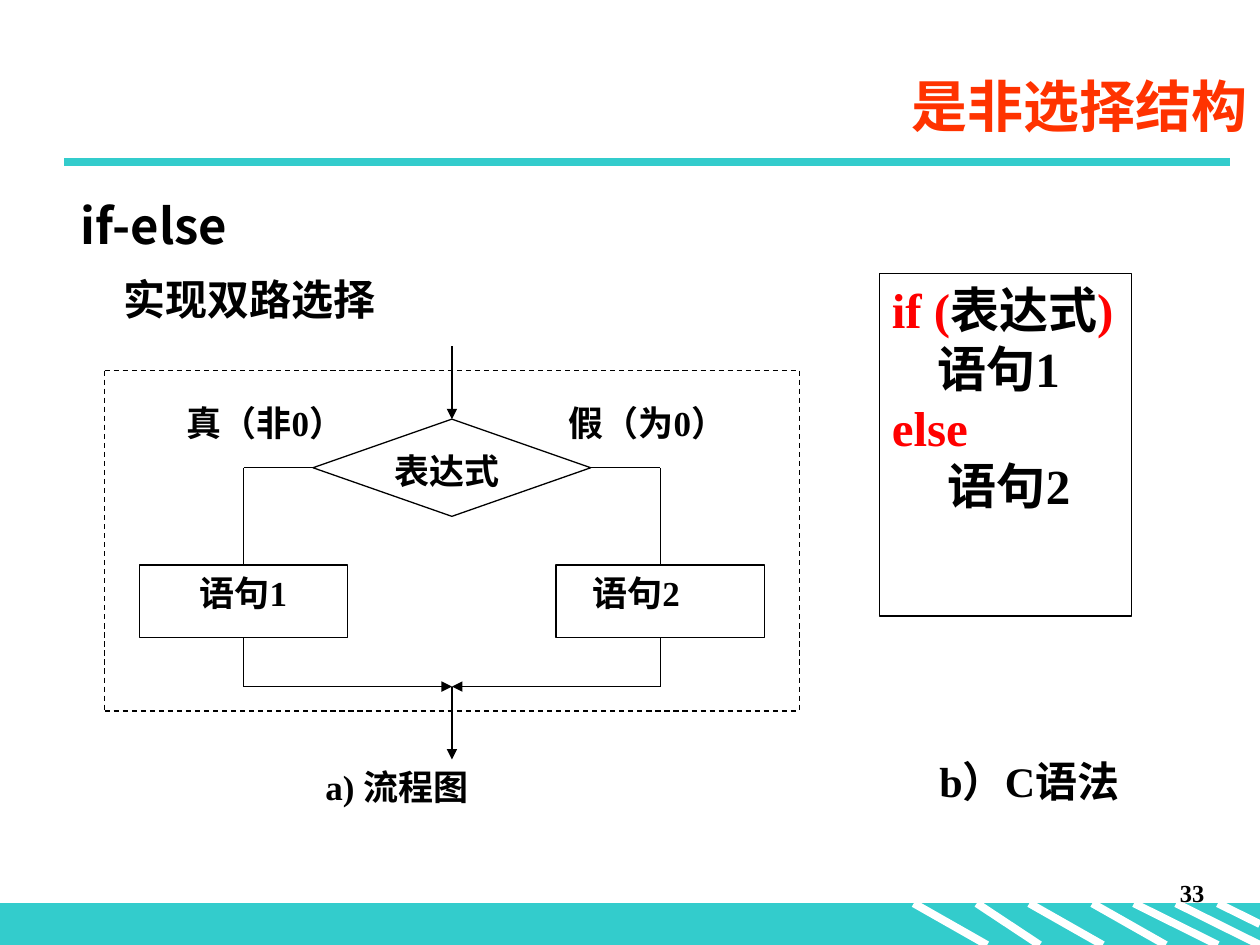
from lxml.etree import SubElement
from pptx import Presentation
from pptx.dml.color import RGBColor
from pptx.enum.dml import MSO_LINE
from pptx.enum.shapes import MSO_CONNECTOR, MSO_SHAPE
from pptx.enum.text import MSO_ANCHOR, PP_ALIGN
from pptx.oxml.ns import qn
from pptx.util import Cm, Pt

TEAL = RGBColor(0x33, 0xCC, 0xCC)
WHITE = RGBColor(0xFF, 0xFF, 0xFF)
BLACK = RGBColor(0, 0, 0)
RED = RGBColor(0xFF, 0, 0)
ORANGE = RGBColor(0xFF, 0x33, 0)
SERIF, SANS, MONO = "Times New Roman", "Noto Sans CJK SC", "Courier New"

WIDTH, HEIGHT = 25.4, 19.05
FOOTER_TOP = 18.21
# Flowchart grid: origin and step, in cm
GRID_LEFT, GRID_TOP, STEP_X, STEP_Y = 2.11, 6.98, 0.7, 0.49

# Text boxes: text, (left, top, width, height), size, font, colour, paragraph format
TEXTS = [
    ("33", (19.25, 17.58, 5.28, 1.27), 14, SERIF, BLACK,
     {"alignment": PP_ALIGN.RIGHT}),
    ("if-else", (1.37, 3.81, 23.06, 1.7), 28, SANS, BLACK,
     {"alignment": PP_ALIGN.LEFT}),
    ("实现双路选择", (2.24, 5.51, 21.39, 1.17), 24, SANS, BLACK,
     {"alignment": PP_ALIGN.JUSTIFY, "line_spacing": 0.9}),
    ("b）C语法", (18.69, 15.11, 5.72, 1.37), 24, SERIF, BLACK,
     {"alignment": PP_ALIGN.JUSTIFY}),
]
TITLE = ("是非选择结构", (3.81, 1.12, 21.59, 2), 32, MONO, ORANGE,
         {"alignment": PP_ALIGN.RIGHT})

# Syntax lines: indent in cm, coloured runs
SYNTAX_PLACE = (17.73, 5.51, 5.08, 6.91)
SYNTAX = [
    (0, [("if (", RED), ("表达式", BLACK), (")", RED)]),
    (0.92, [("语句1", BLACK)]),
    (0, [("else", RED)]),
    (1.13, [("语句2", BLACK)]),
]

# Flowchart, in grid steps
FLOW_LINES = [((4, 5), (6, 5)), ((14, 5), (16, 5)),
              ((4, 5), (4, 9)), ((16, 5), (16, 9)),
              ((4, 12), (4, 14)), ((16, 12), (16, 14))]
FLOW_ARROWS = [((10, 0), (10, 3)), ((4, 14), (10, 14)),
               ((16, 14), (10, 14)), ((10, 14), (10, 17))]
FRAME = [((0, 1), (0, 15)), ((20, 1), (20, 15)),
         ((0, 15), (20, 15)), ((0, 1), (20, 1))]
FLOW_NODES = [  # text, grid place, shape, indent in cm
    ("表达式", (6, 3, 8, 4), MSO_SHAPE.FLOWCHART_DECISION, 0),
    ("语句1", (1, 9, 6, 3), MSO_SHAPE.RECTANGLE, 0.96),
    ("语句2", (13, 9, 6, 3), MSO_SHAPE.RECTANGLE, 0.48),
]
FLOW_LABELS = [("真（非0）", (2, 2, 7, 3)), ("假（为0）", (13, 2, 7, 3)),
               ("a) 流程图", (6, 17, 11, 3))]

# Footer stripes: start x, end x, end y
STRIPES = [(18.42, 19.9, HEIGHT), (19.69, 20.96, HEIGHT), (20.75, 22.23, HEIGHT),
           (22.02, 23.5, HEIGHT), (22.86, 24.55, HEIGHT), (23.71, WIDTH, HEIGHT),
           (24.55, WIDTH, 18.63)]

prs = Presentation()
prs.slide_width, prs.slide_height = Cm(WIDTH), Cm(HEIGHT)
slide = prs.slides.add_slide(prs.slide_layouts[6])


def apply(target, values):
    for key, value in values.items():
        setattr(target, key, value)


def grid_point(column, row):
    return GRID_LEFT + column * STEP_X, GRID_TOP + row * STEP_Y


def grid_place(column, row, columns, rows):
    return (*grid_point(column, row), columns * STEP_X, rows * STEP_Y)


def add_line(start, end, color=BLACK, width=0.75, dashed=False, arrow=False):
    ends = [Cm(value) for value in (*start, *end)]
    line = slide.shapes.add_connector(MSO_CONNECTOR.STRAIGHT, *ends)
    line.line.color.rgb = color
    line.line.width = Pt(width)
    if dashed:
        line.line.dash_style = MSO_LINE.DASH
    if arrow:
        SubElement(line.line._get_or_add_ln(), qn("a:tailEnd"), type="triangle")
    SubElement(line._element.spPr, qn("a:effectLst"))


def add_block(place, color, outline, kind=MSO_SHAPE.RECTANGLE):
    block = slide.shapes.add_shape(kind, *[Cm(value) for value in place])
    block.shadow.inherit = False
    block.fill.solid()
    block.fill.fore_color.rgb = color
    block.line.color.rgb = outline
    block.line.width = Pt(0.75)
    return block


def write(shape, lines, size, font, layout, anchor=MSO_ANCHOR.TOP):
    """Fill a shape with lines of (indent, [(text, colour), ...])."""
    frame = shape.text_frame
    apply(frame, {"word_wrap": True, "vertical_anchor": anchor})
    for number, (indent, runs) in enumerate(lines):
        paragraph = frame.add_paragraph() if number else frame.paragraphs[0]
        apply(paragraph, layout)
        if indent:
            paragraph._p.get_or_add_pPr().set("marL", str(Cm(indent)))
        for text, color in runs:
            run = paragraph.add_run()
            run.text = text
            apply(run.font, {"size": Pt(size), "name": font, "bold": True})
            run.font.color.rgb = color
            SubElement(run._r.get_or_add_rPr(), qn("a:ea"), typeface=SANS)


def add_text(text, place, size, font, color, layout, anchor=MSO_ANCHOR.TOP):
    box = slide.shapes.add_textbox(*[Cm(value) for value in place])
    write(box, [(0, [(text, color)])], size, font, layout, anchor)


# Footer band and title rule
add_block((0, FOOTER_TOP, WIDTH, HEIGHT - FOOTER_TOP), TEAL, TEAL)
for start_x, end_x, end_y in STRIPES:
    add_line((start_x, FOOTER_TOP), (end_x, end_y), WHITE, 4.5)
add_line((1.3, 3.27), (24.79, 3.27), TEAL, 4.5)

# Title, headings and captions
add_text(*TITLE, anchor=MSO_ANCHOR.MIDDLE)
for entry in TEXTS:
    add_text(*entry)

# Syntax panel
justified = {"alignment": PP_ALIGN.JUSTIFY}
write(add_block(SYNTAX_PLACE, WHITE, BLACK), SYNTAX, 28, SERIF, justified)

# Flowchart
for segments, style in ((FLOW_LINES, {}), (FLOW_ARROWS, {"arrow": True}),
                        (FRAME, {"dashed": True})):
    for start, end in segments:
        add_line(grid_point(*start), grid_point(*end), **style)
for text, place, kind, indent in FLOW_NODES:
    node = add_block(grid_place(*place), WHITE, BLACK, kind)
    write(node, [(indent, [(text, BLACK)])], 20, SERIF, justified)
for text, place in FLOW_LABELS:
    add_text(text, grid_place(*place), 20, SERIF, BLACK, justified)

prs.save("out.pptx")
